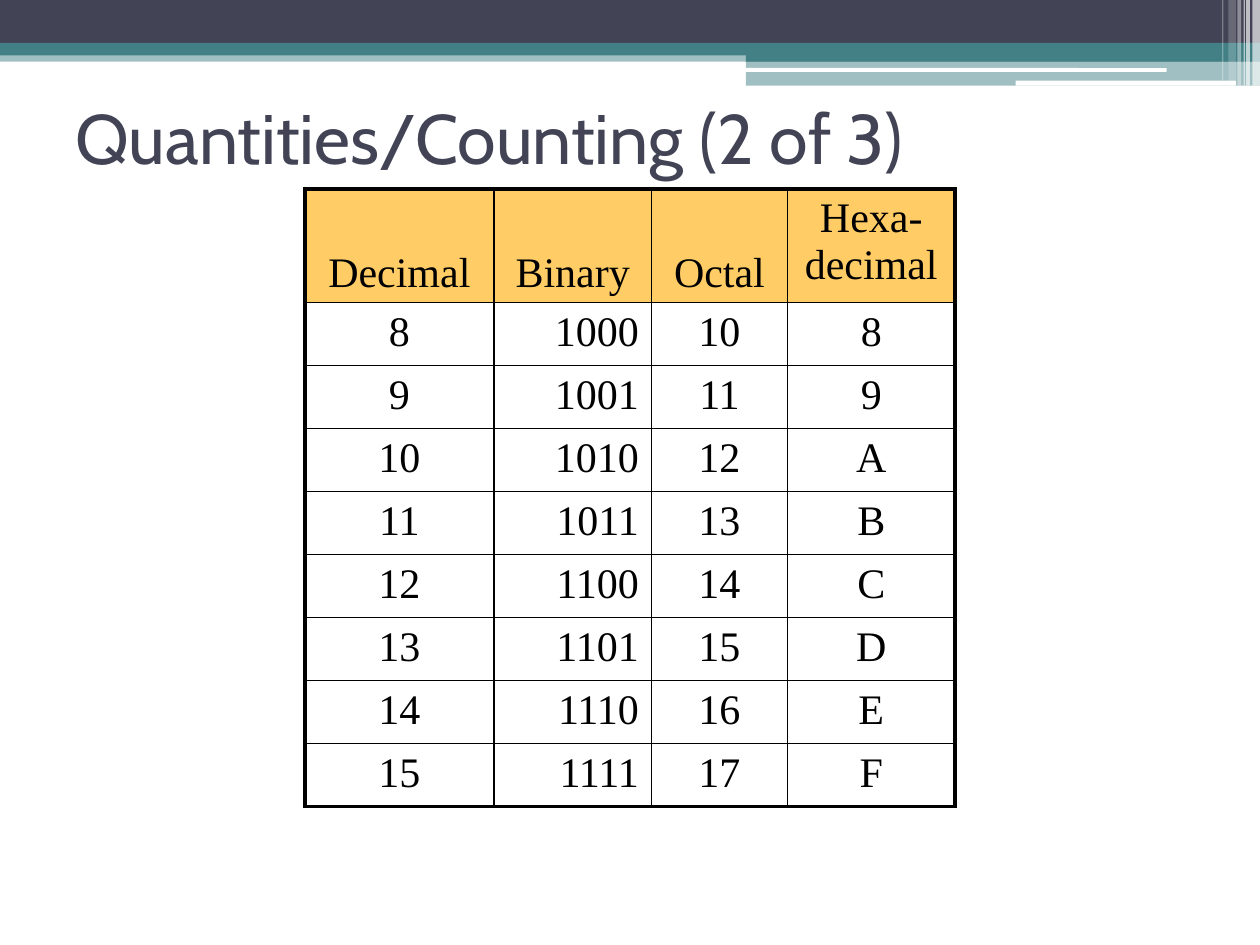
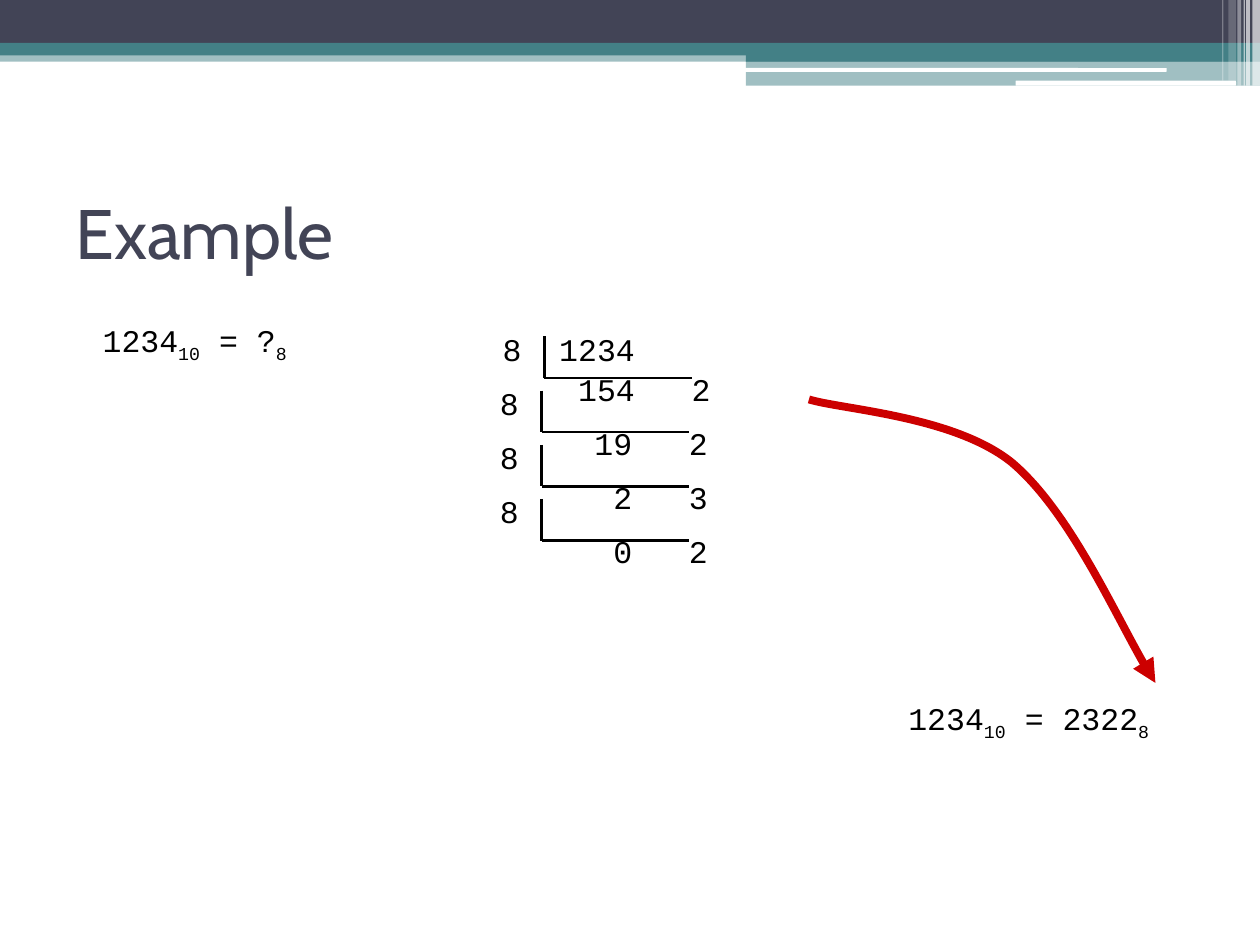
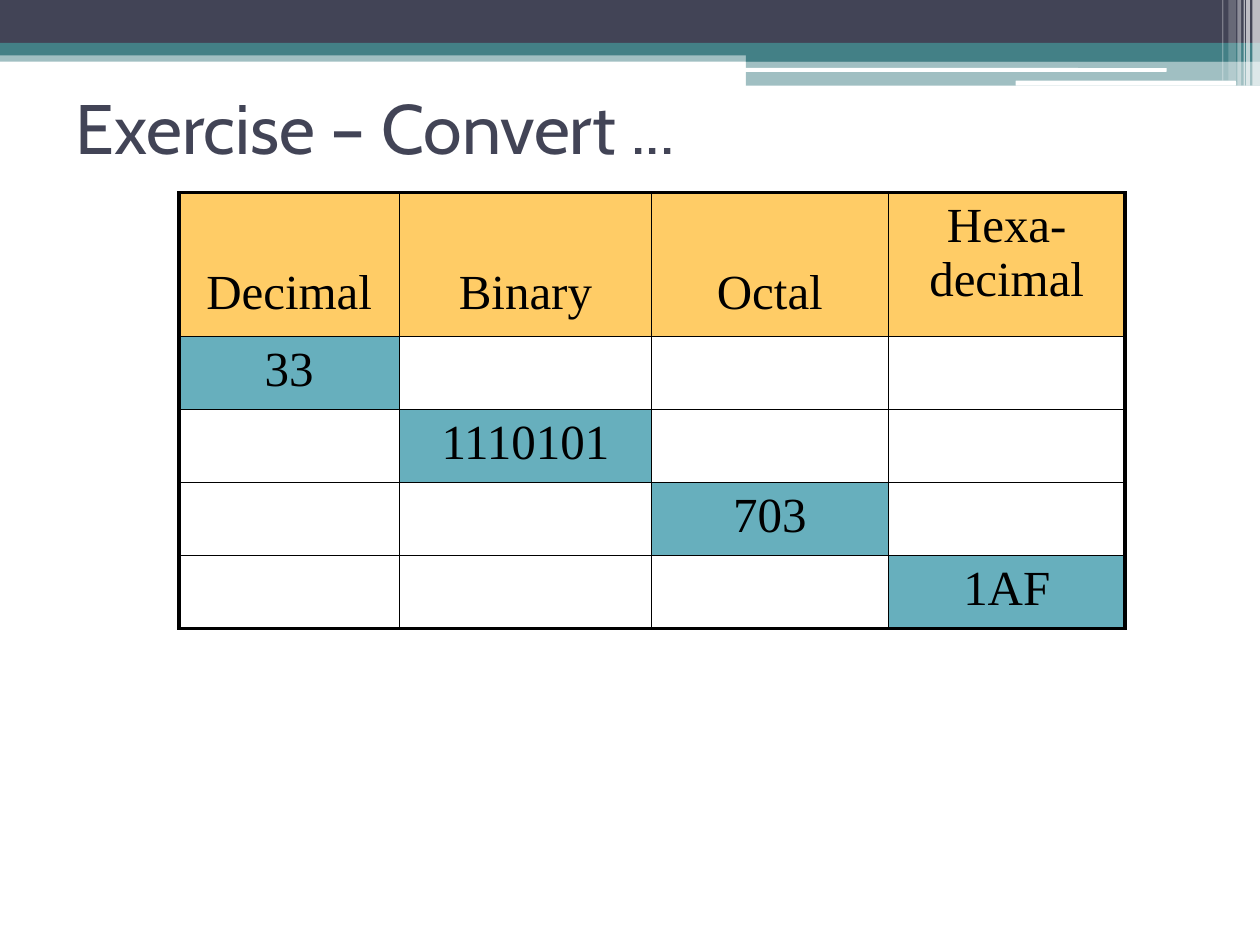
from lxml import etree
from pptx import Presentation
from pptx import util as u
from pptx.dml.color import RGBColor
from pptx.enum import shapes, text
from pptx.oxml.ns import qn

COLORS = {"navy": "424456", "teal": "438086", "white": "FFFFFF", "black": "000000",
          "header": "FFCC66", "given": "67AFBD", "red": "CC0000"}
RGB = {name: RGBColor.from_string(value) for name, value in COLORS.items()}


def add_run(p, content, font, size, color="black"):
    r = p.add_run()
    r.text = content
    r.font.name = font
    r.font.size = u.Pt(size)
    r.font.color.rgb = RGB[color]
    return r


def add_border(cell, side, width):
    ln = etree.SubElement(cell._tc.get_or_add_tcPr(), qn(f"a:ln{side}"), w=str(u.Pt(width)))
    fill = etree.SubElement(ln, qn("a:solidFill"))
    etree.SubElement(fill, qn("a:srgbClr"), val=COLORS["black"])


prs = Presentation()
prs.slide_width = u.Inches(10)
prs.slide_height = u.Inches(7.5)
layout = prs.slide_layouts[5]

slides = []
for title, top in [("Quantities/Counting (2 of 3)", 0.5), ("Example", 1.25),
                   ("Exercise – Convert ...", 0.42)]:
    s = prs.slides.add_slide(layout)
    sp = s.shapes.title
    sp.left, sp.top, sp.width, sp.height = [u.Inches(v) for v in (0.5, top, 9, 1.17)]
    tf = sp.text_frame
    tf.word_wrap = True
    tf.vertical_anchor = text.MSO_ANCHOR.MIDDLE
    p = tf.paragraphs[0]
    p.alignment = text.PP_ALIGN.LEFT
    add_run(p, title, "Cabin", 40, "navy")
    slides.append(s)
counting, example, exercise = slides

RECT = shapes.MSO_SHAPE.RECTANGLE
ROUND = shapes.MSO_SHAPE.ROUNDED_RECTANGLE
bands = [
    (RECT, 0, 0.4, 10, 0.09, "teal", 50),
    (RECT, 0, 0, 10, 0.34, "navy", 100),
    (RECT, 0, 0.34, 10, 0.1, "teal", 100),
    (RECT, 5.92, 0.39, 4.08, 0.1, "teal", 100),
    (RECT, 5.92, 0.48, 4.08, 0.2, "teal", 50),
    (ROUND, 5.91, 0.54, 3.35, 0.03, "white", 100),
    (ROUND, 8.06, 0.64, 1.75, 0.04, "white", 100),
    (RECT, 9.94, 0, 0.06, 0.68, "white", 65),
    (RECT, 9.89, 0, 0.03, 0.68, "white", 65),
    (RECT, 9.87, 0, 0.01, 0.68, "white", 60),
    (RECT, 9.82, 0, 0.03, 0.68, "white", 40),
    (RECT, 9.75, 0, 0.06, 0.64, "white", 20),
    (RECT, 9.7, 0, 0.01, 0.64, "white", 30),
]
for shape_id, (kind, x, y, w, h, color, opacity) in enumerate(bands, 20):
    sp = counting.shapes.add_shape(kind, *[u.Inches(v) for v in (x, y, w, h)])
    sp.shadow.inherit = False
    sp.line.fill.background()
    sp.fill.solid()
    sp.fill.fore_color.rgb = RGB[color]
    if opacity < 100:
        clr = sp.element.spPr.find(f".//{qn('a:srgbClr')}")
        etree.SubElement(clr, qn("a:alpha"), val=str(opacity * 1000))
    sp.element.nvSpPr.cNvPr.set("id", str(shape_id))
    layout.shapes.element.append(sp.element)

headers = ["Decimal", "Binary", "Octal", "Hexa-\ndecimal"]
counts = [[f"{n}", f"{n:b}", f"{n:o}", f"{n:X}"] for n in range(8, 16)]
givens = ["33", "1110101", "703", "1AF"]
questions = [[given if c == r else "" for c in range(4)] for r, given in enumerate(givens)]
CENTER, RIGHT = text.PP_ALIGN.CENTER, text.PP_ALIGN.RIGHT
tables = [
    (counting, 2.42, 1.5, [1.5, 1.25, 1.08, 1.33], 0.9, 0.5, 24, 0.05, RIGHT, counts),
    (exercise, 1.42, 1.53, [1.75, 2, 1.88, 1.88], 1.14, 0.58, 28, 0.13, CENTER, questions),
]
for s, x, y, widths, header_h, row_h, size, header_gap, binary_align, body in tables:
    rows = [headers] + body
    heights = [header_h] + [row_h] * len(body)
    frame = s.shapes.add_table(len(rows), 4, u.Inches(x), u.Inches(y),
                               u.Inches(sum(widths)), u.Inches(sum(heights)))
    table = frame.table
    table.first_row = table.horz_banding = False
    for col, width in zip(table.columns, widths):
        col.width = u.Inches(width)
    for row, height in zip(table.rows, heights):
        row.height = u.Inches(height)
    for i, values in enumerate(rows):
        for j, value in enumerate(values):
            cell = table.cell(i, j)
            outer = {"L": j == 0, "R": j == 3, "T": i == 0, "B": i == len(body)}
            for side, is_outer in outer.items():
                add_border(cell, side, 2.25 if is_outer else 1)
            if i == 0 or (s is exercise and value):
                cell.fill.solid()
                cell.fill.fore_color.rgb = RGB["given" if i else "header"]
            else:
                cell.fill.background()
            if i == 0 and j < 3:
                cell.vertical_anchor = text.MSO_ANCHOR.BOTTOM
                cell.margin_bottom = u.Inches(header_gap)
            p = cell.text_frame.paragraphs[0]
            p.alignment = binary_align if i and j == 1 else CENTER
            for k, part in enumerate(value.split("\n")):
                if k:
                    p.add_line_break()
                if part:
                    add_run(p, part, "Times New Roman", size)

for x, y, w, result in [(0.42, 2.5, 2.25, "?"), (6.58, 5.5, 3.17, "2322")]:
    sp = example.shapes.add_textbox(u.Inches(x), u.Inches(y), u.Inches(w), u.Inches(0.5))
    sp.text_frame.word_wrap = True
    p = sp.text_frame.paragraphs[0]
    p.alignment = CENTER
    for number, base in [("1234", "10"), (f" = {result}", "8")]:
        add_run(p, number, "Courier New", 18)
        r = add_run(p, base, "Courier New", 18)
        r._r.get_or_add_rPr().set("baseline", "-25000")

divisions = [("8\t1234", "154", "2"), ("8", "19", "2"), ("8", "2", "3"), ("8", "0", "2")]
for i, (dividend, quotient, remainder) in enumerate(divisions):
    x, y = 3.87 if i else 3.89, 2.57 + 0.43 * i
    sp = example.shapes.add_textbox(u.Inches(x), u.Inches(y), u.Inches(2.4), u.Inches(0.9))
    tf = sp.text_frame
    tf.word_wrap = True
    for p, content in [(tf.paragraphs[0], dividend),
                       (tf.add_paragraph(), f"\t{quotient}\t{remainder}")]:
        tabs = etree.SubElement(p._p.get_or_add_pPr(), qn("a:tabLst"))
        for stop in (1.05, 1.65):
            etree.SubElement(tabs, qn("a:tab"), pos=str(u.Inches(stop)), algn="r")
        add_run(p, content, "Courier New", 18)
    p.space_before = u.Pt(1)
    left, bottom = x + 0.43, y + 0.43
    for x1, y1, x2, y2 in [(left, y + 0.1, left, bottom), (left, bottom, left + 1.17, bottom)]:
        line = example.shapes.add_connector(shapes.MSO_CONNECTOR.STRAIGHT,
                                            *[u.Inches(v) for v in (x1, y1, x2, y2)])
        line.line.color.rgb = RGB["black"]
        line.line.width = u.Pt(1.5)
        etree.SubElement(line.element.spPr, qn("a:effectLst"))

points = [(6.42, 3.17), (6.68, 3.25), (7.57, 3.3), (8.03, 3.67),
          (8.48, 4.05), (8.93, 5.05), (9.17, 5.42)]
start, *controls = [(u.Inches(x), u.Inches(y)) for x, y in points]
builder = example.shapes.build_freeform(*start)
builder.add_line_segments(controls, close=False)
arrow = builder.convert_to_shape()
outline = arrow.element.spPr.find(f".//{qn('a:path')}")
segments = outline.findall(qn("a:lnTo"))
for i in range(0, len(segments), 3):
    curve = etree.SubElement(outline, qn("a:cubicBezTo"))
    for segment in segments[i:i + 3]:
        curve.append(segment[0])
        outline.remove(segment)
arrow.shadow.inherit = False
arrow.fill.background()
arrow.line.color.rgb = RGB["red"]
arrow.line.width = u.Pt(4.5)
etree.SubElement(arrow.line._get_or_add_ln(), qn("a:tailEnd"), type="triangle")

prs.save("out.pptx")
